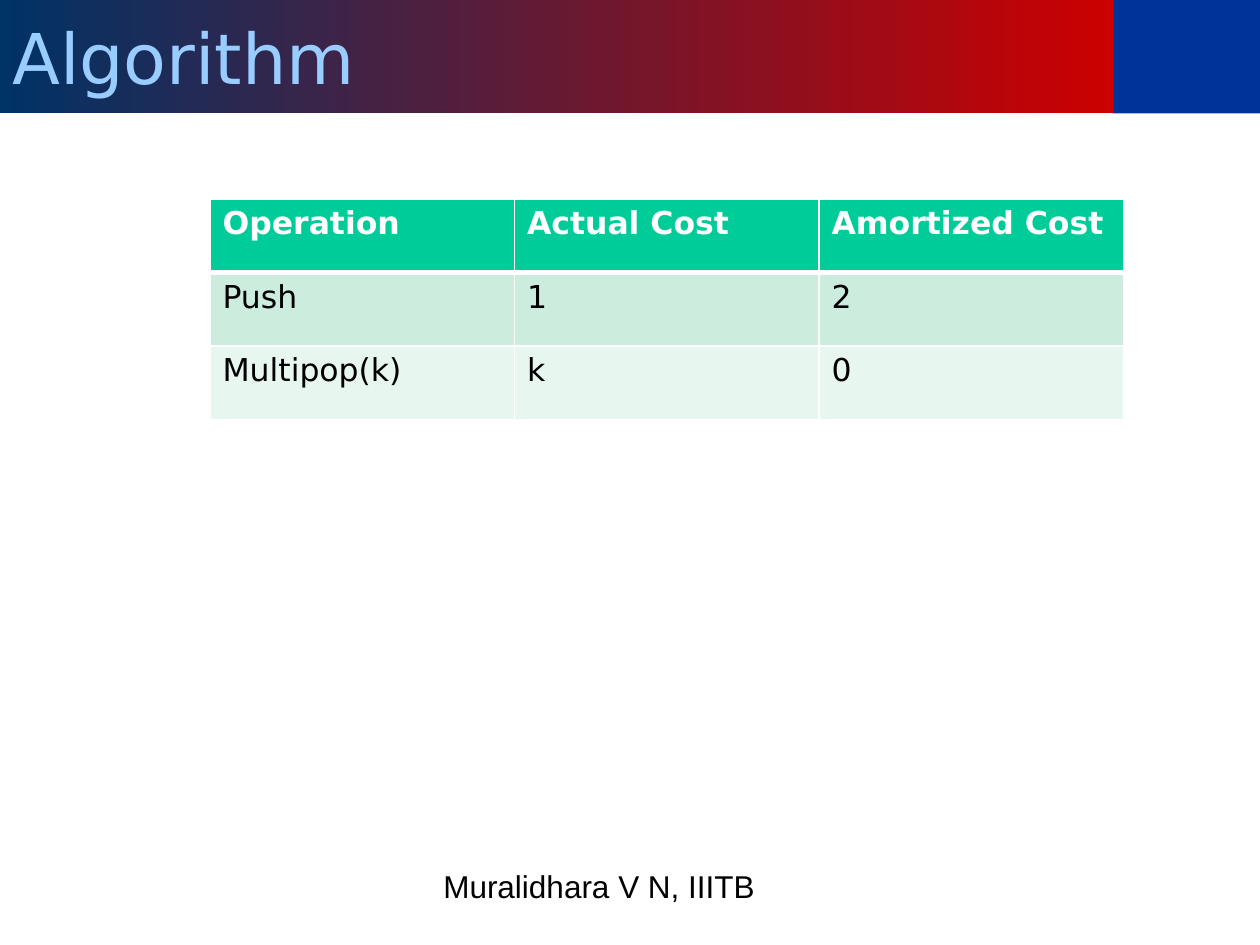
from lxml.etree import SubElement
from pptx import Presentation
from pptx.dml.color import RGBColor
from pptx.enum.shapes import MSO_SHAPE
from pptx.enum.text import MSO_ANCHOR, PP_ALIGN
from pptx.oxml.ns import qn
from pptx.util import Inches, Pt

# Content
TITLE = "Algorithm"
FOOTER = "Muralidhara V N, IIITB"
ROWS = [
    ("Operation", "Actual Cost", "Amortized Cost"),
    ("Push", "1", "2"),
    ("Multipop(k)", "k", "0"),
]

# Style
COLORS = {
    "corner": "003399", "bar_left": "003366", "bar_right": "CC0000",
    "title": "99CCFF", "header": "00CC99", "white": "FFFFFF", "text": "000000",
}
ROW_FILLS = [COLORS["header"], "CCECDE", "E7F6EF"]
HEADING_FONT, FOOTER_FONT = "DejaVu Sans", "Arial"

# Layout in inches
WIDTH, HEIGHT = 10, 7.5
BAR_HEIGHT = 0.12 * HEIGHT
BAR_WIDTH = 8.84
TABLE_LEFT, TABLE_TOP = WIDTH / 6, 1.58
TABLE_WIDTH, TABLE_HEIGHT = 7.25, 1.75


def color(name):
    return RGBColor.from_string(COLORS[name])


def write(text_frame, text, size, font, color_name, bold=False):
    text_frame.text = text
    paragraph = text_frame.paragraphs[0]
    paragraph.alignment = PP_ALIGN.LEFT
    run_font = paragraph.runs[0].font
    run_font.size, run_font.name, run_font.bold = Pt(size), font, bold
    run_font.color.rgb = color(color_name)


def add_bar(slide, left, width):
    shape = slide.shapes.add_shape(
        MSO_SHAPE.RECTANGLE, Inches(left), 0, Inches(width), Inches(BAR_HEIGHT))
    shape.shadow.inherit = False
    shape.line.fill.background()
    return shape


def set_borders(cell, bottom_width):
    properties = cell._tc.get_or_add_tcPr()
    widths = {"a:lnL": 1, "a:lnR": 1, "a:lnT": 1, "a:lnB": bottom_width}
    for index, (tag, width) in enumerate(widths.items()):
        line = SubElement(properties, qn(tag), w=str(Pt(width)))
        fill = SubElement(line, qn("a:solidFill"))
        SubElement(fill, qn("a:srgbClr"), val=COLORS["white"])
        properties.insert(index, line)  # borders come before the cell fill


def add_header(slide):
    corner = add_bar(slide, BAR_WIDTH - 0.01, WIDTH - BAR_WIDTH + 0.01)
    corner.fill.solid()
    corner.fill.fore_color.rgb = color("corner")

    title = add_bar(slide, 0, BAR_WIDTH)
    title.fill.gradient()
    title.fill.gradient_angle = 180
    for stop, name in zip(title.fill.gradient_stops, ("bar_right", "bar_left")):
        stop.color.rgb = color(name)
    title.text_frame.vertical_anchor = MSO_ANCHOR.MIDDLE
    write(title.text_frame, TITLE, 40, HEADING_FONT, "title")


def add_cost_table(slide):
    table = slide.shapes.add_table(
        len(ROWS), len(ROWS[0]), Inches(TABLE_LEFT), Inches(TABLE_TOP),
        Inches(TABLE_WIDTH), Inches(TABLE_HEIGHT)).table
    for row_index, values in enumerate(ROWS):
        is_header = row_index == 0
        for column_index, value in enumerate(values):
            cell = table.cell(row_index, column_index)
            cell.fill.solid()
            cell.fill.fore_color.rgb = RGBColor.from_string(ROW_FILLS[row_index])
            write(cell.text_frame, value, 18, HEADING_FONT,
                  "white" if is_header else "text", is_header)
            set_borders(cell, 3 if is_header else 1)
            if row_index == 1:  # shares its top edge with the header row
                cell._tc.tcPr.find(qn("a:lnT")).set("w", str(Pt(3)))


def add_footer(slide):
    footer = slide.shapes.add_textbox(
        Inches(3.42), Inches(6.83), Inches(4.92), Inches(0.52))
    footer.text_frame.word_wrap = True
    write(footer.text_frame, FOOTER, 18, FOOTER_FONT, "text")


def main():
    presentation = Presentation()
    presentation.slide_width, presentation.slide_height = Inches(WIDTH), Inches(HEIGHT)
    slide = presentation.slides.add_slide(presentation.slide_layouts[6])
    add_header(slide)
    add_footer(slide)
    add_cost_table(slide)
    presentation.save("out.pptx")


if __name__ == "__main__":
    main()
